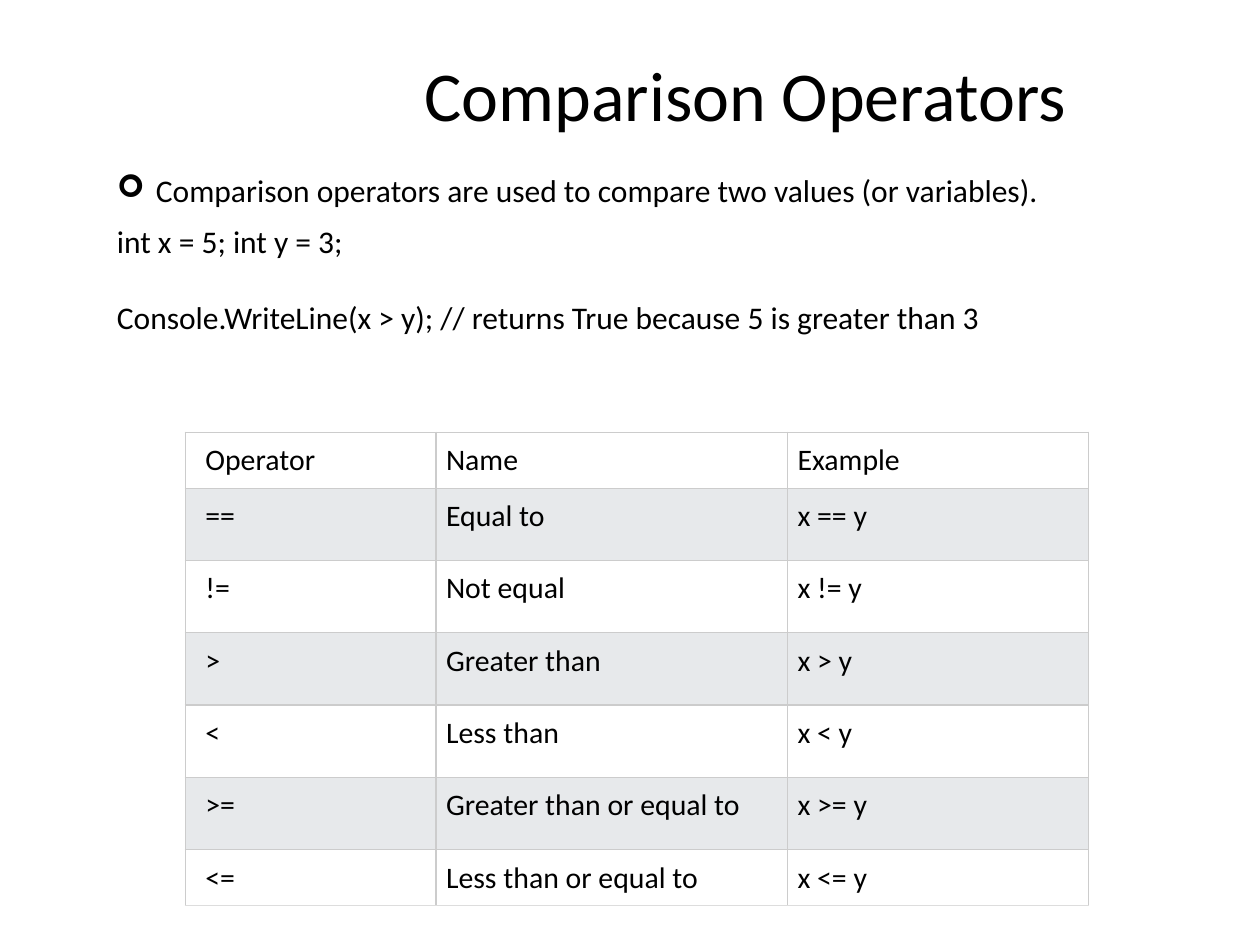
from dataclasses import dataclass

from lxml import etree
from pptx import Presentation
from pptx.dml.color import RGBColor
from pptx.enum.text import MSO_ANCHOR, MSO_AUTO_SIZE, PP_ALIGN
from pptx.oxml.ns import qn
from pptx.util import Inches, Pt


@dataclass(frozen=True)
class Theme:
    font: str = "Calibri"
    ink: str = "000000"
    paper: str = "FFFFFF"
    band: str = "E7E9EB"
    rule: str = "CCCCCC"
    last_rule: str = "DDDDDD"
    rule_width: float = 0.75
    title_size: int = 40
    body_size: int = 18
    table_size: int = 17


theme = Theme()


def format_text(frame, size):
    for paragraph in frame.paragraphs:
        paragraph.alignment = PP_ALIGN.LEFT
        for run in paragraph.runs:
            run.font.name = theme.font
            run.font.size = Pt(size)
            run.font.color.rgb = RGBColor.from_string(theme.ink)


def add_border(cell, side, color):
    line = etree.SubElement(cell._tc.get_or_add_tcPr(), qn(f"a:{side}"),
                            w=str(Pt(theme.rule_width)))
    fill = etree.SubElement(line, qn("a:solidFill"))
    etree.SubElement(fill, qn("a:srgbClr"), val=color)


presentation = Presentation()
presentation.slide_width, presentation.slide_height = Inches(10), Inches(7.5)
slide = presentation.slides.add_slide(presentation.slide_layouts[5])

# Grid of 100 columns by 75 rows
column = presentation.slide_width / 100
row = presentation.slide_height / 75
body_left = int(8.3 * column)

# Title
title = slide.shapes.title
title.left, title.top = int(32.7 * column), int(3.6 * row)
title.width, title.height = int(53.5 * column), int(7.7 * row)
title.text_frame.text = "Comparison Operators"
title.text_frame.word_wrap = False
title.text_frame.auto_size = MSO_AUTO_SIZE.SHAPE_TO_FIT_TEXT
title.text_frame.vertical_anchor = MSO_ANCHOR.TOP
format_text(title.text_frame, theme.title_size)

# Introduction and code sample
passages = [
    (13.1, 87.4, 4,
     ["Comparison operators are used to compare two values (or variables)."]),
    (17.1, 91.7, 10.1,
     ["int x = 5; int y = 3;",
      "Console.WriteLine(x > y); // returns True because 5 is greater than 3"]),
]
frames = []
for top, width, height, lines in passages:
    passage = slide.shapes.add_textbox(body_left, int(top * row),
                                       int(width * column), int(height * row))
    frame = passage.text_frame
    frame.word_wrap = True
    frame.text = "\n".join(lines)
    format_text(frame, theme.body_size)
    frames.append(frame)
introduction, code = frames

# Arrow bullet on the introduction, one blank line's gap within the code
indent = int(3.1 * column)
bullet_props = introduction.paragraphs[0]._p.get_or_add_pPr()
bullet_props.set("marL", str(indent))
bullet_props.set("indent", str(-indent))
etree.SubElement(bullet_props, qn("a:buFont"), typeface="Wingdings")
etree.SubElement(bullet_props, qn("a:buChar"), char="➢")
code.paragraphs[1].space_before = Pt(22)

# Operator table
names = {
    "==": "Equal to",
    "!=": "Not equal",
    ">": "Greater than",
    "<": "Less than",
    ">=": "Greater than or equal to",
    "<=": "Less than or equal to",
}
records = [("Operator", "Name", "Example")]
records += [(sign, name, f"x {sign} y") for sign, name in names.items()]
last = len(records) - 1

operators = slide.shapes.add_table(
    len(records), 3, int(14.7 * column), int(34.3 * row),
    int(71.8 * column), int(37.6 * row)).table
operators.first_row = operators.horz_banding = False
for table_column, width in zip(operators.columns, (19.9, 27.9, 23.9)):
    table_column.width = int(width * column)

for r, record in enumerate(records):
    operators.rows[r].height = int((4.45 if r in (0, last) else 5.74) * row)
    for c, entry in enumerate(record):
        cell = operators.cell(r, c)
        cell.text = entry
        format_text(cell.text_frame, theme.table_size)
        cell.margin_left = Inches(0.16 if c == 0 else 0.08)
        cell.margin_right = cell.margin_top = cell.margin_bottom = Inches(0.08)
        for side in ("lnL", "lnR", "lnT", "lnB"):
            closing = r == last and side == "lnB"
            add_border(cell, side, theme.last_rule if closing else theme.rule)
        cell.fill.solid()
        cell.fill.fore_color.rgb = RGBColor.from_string(
            theme.band if r % 2 else theme.paper)

presentation.save("out.pptx")
